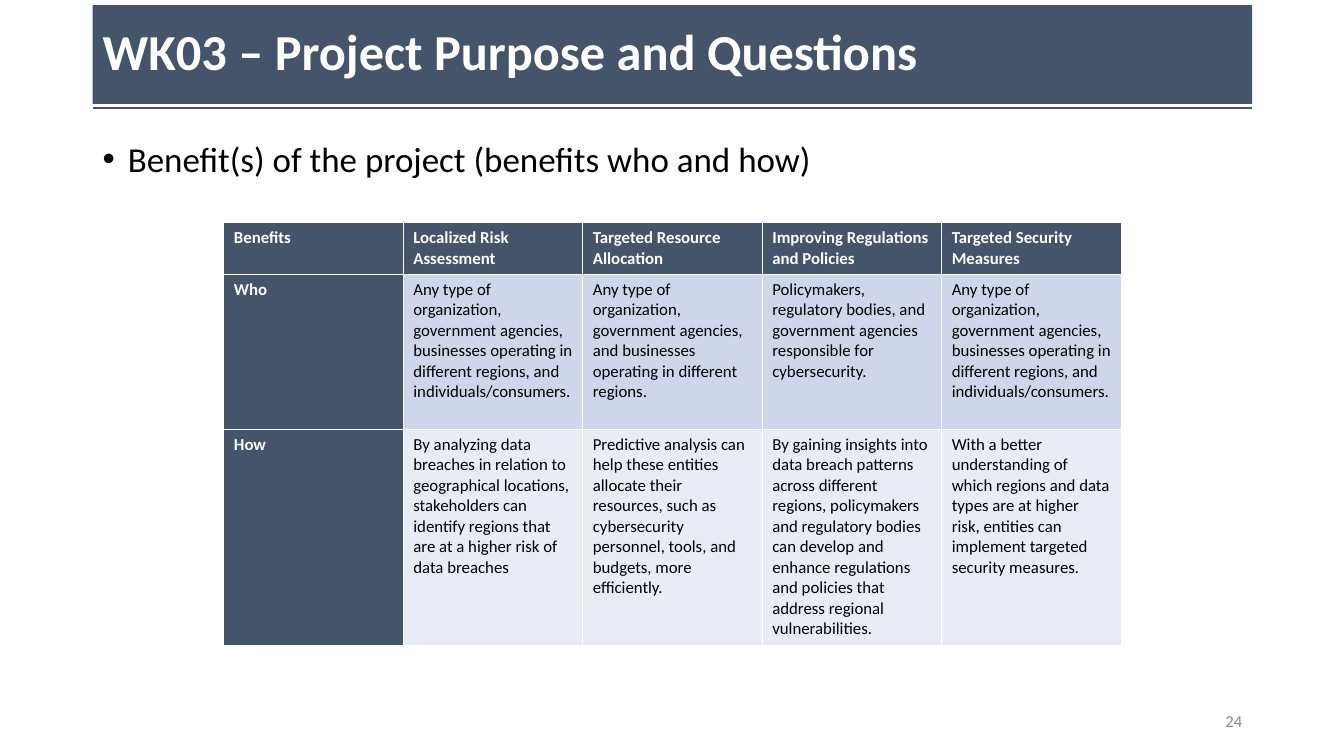
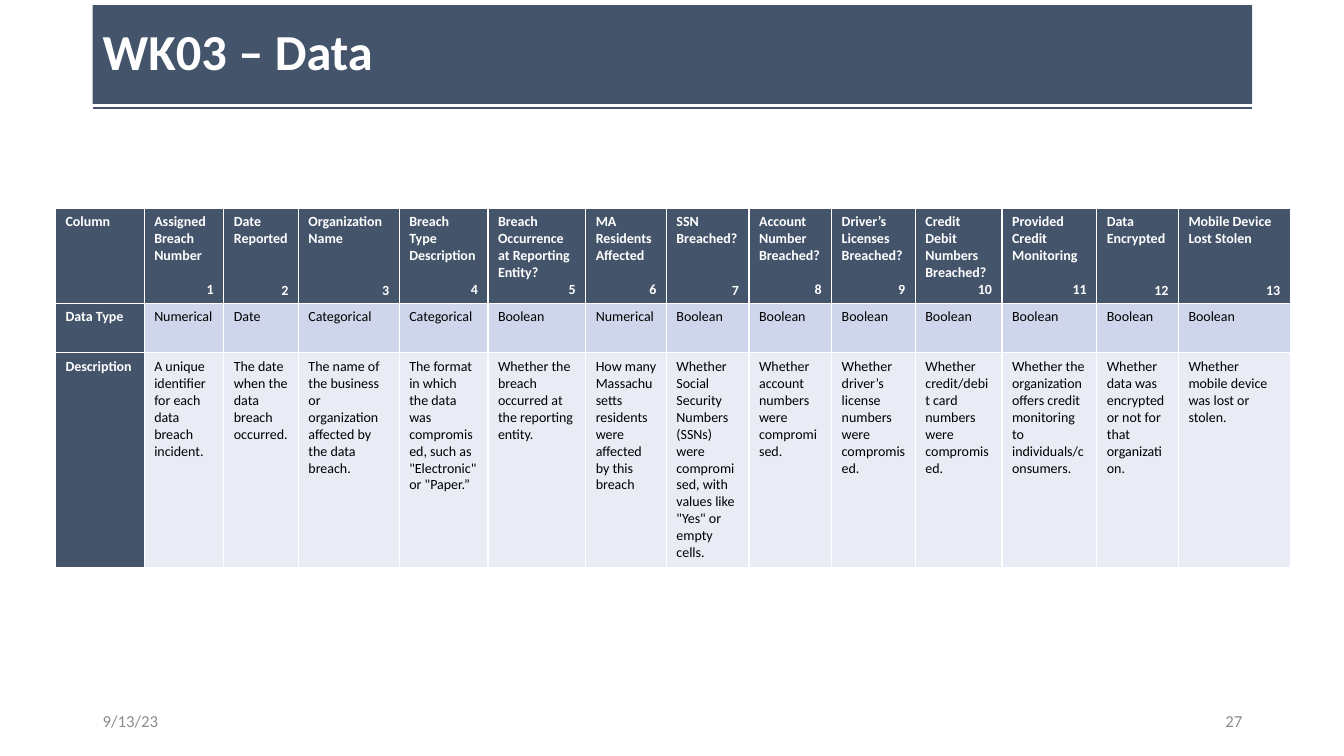
import pptx
import pptx.dml.color
import pptx.enum.shapes
import pptx.enum.text
import pptx.oxml
import pptx.oxml.ns
import pptx.util
from pptx.util import Inches

COLORS = {
    "slate": "44546A",
    "white": "FFFFFF",
    "black": "000000",
    "gray": "8C8C8C",
    "row_dark": "CFD5EA",
    "row_light": "E9EBF5",
}
FONT = "Calibri"
LEFT, WIDTH = 0.92, 11.5
ALIGN = pptx.enum.text.PP_ALIGN
ANCHOR = pptx.enum.text.MSO_ANCHOR

BENEFITS = [
    ["Benefits", "Localized Risk Assessment", "Targeted Resource Allocation",
     "Improving Regulations and Policies", "Targeted Security Measures"],
    ["Who",
     "Any type of organization, government agencies, businesses operating in "
     "different regions, and individuals/consumers.",
     "Any type of organization, government agencies, and businesses operating "
     "in different regions.",
     "Policymakers, regulatory bodies, and government agencies responsible for "
     "cybersecurity.",
     "Any type of organization, government agencies, businesses operating in "
     "different regions, and individuals/consumers."],
    ["How",
     "By analyzing data breaches in relation to geographical locations, "
     "stakeholders can identify regions that are at a higher risk of data breaches",
     "Predictive analysis can help these entities allocate their resources, such "
     "as cybersecurity personnel, tools, and budgets, more efficiently.",
     "By gaining insights into data breach patterns across different regions, "
     "policymakers and regulatory bodies can develop and enhance regulations and "
     "policies that address regional vulnerabilities.",
     "With a better understanding of which regions and data types are at higher "
     "risk, entities can implement targeted security measures."],
]

# Column width, lines the heading takes, heading, data type, description
FIELDS = [
    (0.79, 3, "Assigned Breach Number", "Numerical",
     "A unique identifier for each data breach incident."),
    (0.74, 2, "Date Reported", "Date", "The date when the data breach occurred."),
    (1, 2, "Organization Name", "Categorical",
     "The name of the business or organization affected by the data breach."),
    (0.88, 3, "Breach Type Description", "Categorical",
     "The format in which the data was compromised, such as \"Electronic\" or \"Paper.”"),
    (0.97, 4, "Breach Occurrence at Reporting Entity?", "Boolean",
     "Whether the breach occurred at the reporting entity."),
    (0.8, 3, "MA Residents Affected", "Numerical",
     "How many Massachusetts residents were affected by this breach"),
    (0.82, 2, "SSN Breached?", "Boolean",
     "Whether Social Security Numbers (SSNs) were compromised, with values like "
     "\"Yes\" or empty cells."),
    (0.82, 3, "Account Number Breached?", "Boolean",
     "Whether account numbers were compromised."),
    (0.83, 3, "Driver’s Licenses Breached?", "Boolean",
     "Whether driver’s license numbers were compromised."),
    (0.86, 4, "Credit Debit Numbers Breached?", "Boolean",
     "Whether credit/debit card numbers were compromised."),
    (0.94, 3, "Provided Credit Monitoring", "Boolean",
     "Whether the organization offers credit monitoring to individuals/consumers."),
    (0.81, 2, "Data Encrypted", "Boolean",
     "Whether data was encrypted or not for that organization."),
    (1.11, 2, "Mobile Device Lost Stolen", "Boolean",
     "Whether mobile device was lost or stolen."),
]


def rgb(name):
    return pptx.dml.color.RGBColor.from_string(COLORS[name])


def add_xml(parent, tag, content="", attributes=""):
    namespace = pptx.oxml.ns.nsdecls("a")
    parent.append(pptx.oxml.parse_xml(
        f"<a:{tag} {namespace} {attributes}>{content}</a:{tag}>"))


class Builder:
    """Holds the deck, its style and the slide being filled."""

    def __init__(self):
        self.deck = pptx.Presentation()
        self.deck.slide_width = Inches(13.33)
        self.deck.slide_height = Inches(7.5)
        self.slide = None

    def start_slide(self, title, number, date=None):
        self.slide = self.deck.slides.add_slide(self.deck.slide_layouts[6])
        self.rule()
        self.title(title)
        if date:
            self.footer(date, LEFT, ALIGN.LEFT)
        self.footer(number, LEFT + WIDTH - 3, ALIGN.RIGHT)

    def style(self, para, size, color, bold=False, align=ALIGN.LEFT):
        para.alignment = align
        for span in para.runs:
            span.font.name = FONT
            span.font.size = pptx.util.Pt(size)
            span.font.bold = bold
            span.font.color.rgb = rgb(color)

    def rule(self):
        line = self.slide.shapes.add_connector(
            pptx.enum.shapes.MSO_CONNECTOR.STRAIGHT,
            Inches(LEFT), Inches(1.07), Inches(LEFT + WIDTH), Inches(1.07))
        line.line.color.rgb = rgb("slate")
        line.line.width = pptx.util.Pt(1.5)
        add_xml(line._element.spPr, "effectLst")

    def title(self, text):
        band = self.slide.shapes.add_shape(
            pptx.enum.shapes.MSO_SHAPE.RECTANGLE,
            Inches(LEFT), Inches(0.05), Inches(WIDTH), Inches(0.98))
        band.shadow.inherit = False
        band.fill.solid()
        band.fill.fore_color.rgb = rgb("slate")
        band.line.fill.background()
        frame = band.text_frame
        frame.text = text
        frame.vertical_anchor = ANCHOR.MIDDLE
        frame.paragraphs[0].line_spacing = 0.9
        self.style(frame.paragraphs[0], 36, "white", bold=True)

    def text_box(self, text, left, top, width, height):
        box = self.slide.shapes.add_textbox(
            Inches(left), Inches(top), Inches(width), Inches(height))
        box.text_frame.word_wrap = True
        box.text_frame.text = text
        return box.text_frame

    def footer(self, text, left, align):
        frame = self.text_box(text, left, 6.95, 3, 0.4)
        frame.vertical_anchor = ANCHOR.MIDDLE
        self.style(frame.paragraphs[0], 12, "gray", align=align)

    def bullet(self, text):
        para = self.text_box(text, LEFT, 1.36, WIDTH, 0.6).paragraphs[0]
        self.style(para, 25, "black")
        para.line_spacing = 0.9
        para.space_after = pptx.util.Pt(6)
        properties = para._p.get_or_add_pPr()
        properties.set("marL", str(Inches(0.25)))
        properties.set("indent", str(Inches(-0.25)))
        add_xml(properties, "buFont", attributes='typeface="Arial"')
        add_xml(properties, "buChar", attributes='char="•"')

    def table(self, rows, left, top, widths, heights, size):
        """Add a table whose first row and first column are headings."""
        table = self.slide.shapes.add_table(
            len(rows), len(widths), Inches(left), Inches(top),
            Inches(sum(widths)), Inches(sum(heights))).table
        for column, width in zip(table.columns, widths):
            column.width = Inches(width)
        for row, height in zip(table.rows, heights):
            row.height = Inches(height)
        for i, texts in enumerate(rows):
            for j, text in enumerate(texts):
                heading = i == 0 or j == 0
                band = "row_dark" if i % 2 else "row_light"
                self.cell(table.cell(i, j), text, size, heading,
                          "slate" if heading else band)
        return table

    def cell(self, cell, text, size, heading, fill):
        cell.text = text
        self.style(cell.text_frame.paragraphs[0], size,
                   "white" if heading else "black", bold=heading)
        line = f'<a:solidFill><a:srgbClr val="{COLORS["white"]}"/></a:solidFill>'
        for side in ("lnL", "lnR", "lnT", "lnB"):
            add_xml(cell._tc.get_or_add_tcPr(), side, line, 'w="12700"')
        cell.fill.solid()
        cell.fill.fore_color.rgb = rgb(fill)

    def number_heading(self, cell, number, lines, size):
        """Put a right-aligned number on the fifth line of a heading cell."""
        para = cell.text_frame.add_paragraph()
        para.text = str(number)
        para.space_before = pptx.util.Pt((4 - lines) * size * 1.22)
        self.style(para, size, "white", bold=True, align=ALIGN.RIGHT)


def main():
    builder = Builder()

    builder.start_slide("WK03 – Project Purpose and Questions", "24")
    builder.bullet("Benefit(s) of the project (benefits who and how)")
    builder.table(BENEFITS, 2.22, 2.21, [1.78] * 5, [0.51, 1.54, 2.15], 12)

    builder.start_slide("WK03 – Data", "27", date="9/13/23")
    widths, lines, headings, types, descriptions = zip(*FIELDS)
    rows = [("Column", *headings), ("Data Type", *types),
            ("Description", *descriptions)]
    table = builder.table(rows, 0.55, 2.07, [0.88, *widths],
                          [0.94, 0.49, 2.13], 10)
    for number, count in enumerate(lines, 1):
        builder.number_heading(table.cell(0, number), number, count, 10)

    builder.deck.save("out.pptx")


if __name__ == "__main__":
    main()
